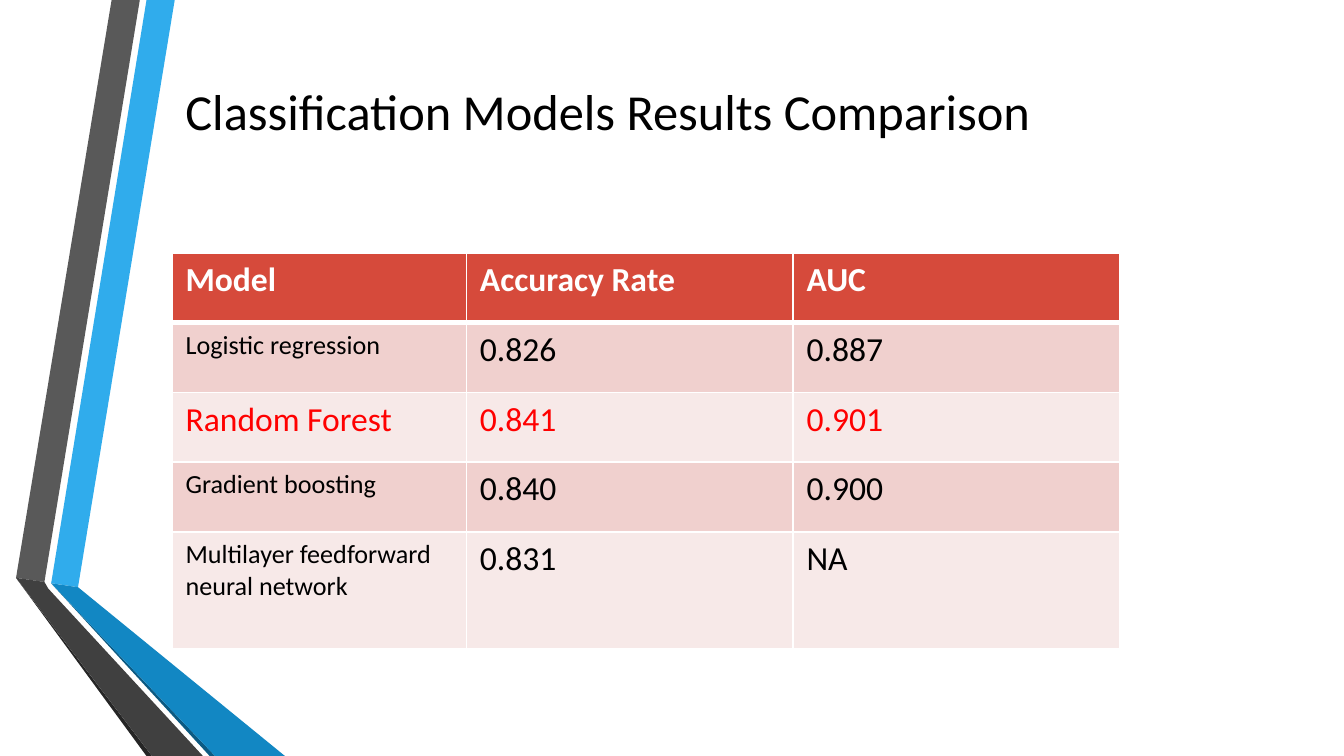
from dataclasses import dataclass

from lxml.etree import SubElement
from pptx import Presentation
from pptx.dml.color import RGBColor
from pptx.enum.text import MSO_ANCHOR as Anchor, MSO_AUTO_SIZE as AutoSize, PP_ALIGN as Align
from pptx.oxml.ns import qn
from pptx.util import Pt

WHITE, BLACK, RED = "FFFFFF", "000000", "FF0000"
HEADER_FILL, BAND_FILLS = "D64A3B", ("F0D0CE", "F7E9E8")
COLUMN_WIDTHS = (157.7, 175, 175)
ROW_HEIGHTS = (37.4, 37.4, 37.4, 37.4, 62.6)
BOTTOM = 405


@dataclass
class Ribbon:
    """A filled polygon of the side decoration."""
    color: str
    points: list[tuple[float, float]]


@dataclass
class ModelRow:
    """One table row with the style of its text."""
    cells: tuple[str, str, str]
    name_size: float = 14
    color: str = BLACK
    bold: bool = False


GRAY_BEND, BLUE_BEND, BLUE_CORNER = (8.6, 309.6), (27.4, 312.5), (41.8, 314.6)
RIBBONS = [
    Ribbon("30ACEC", [BLUE_BEND, BLUE_CORNER, (93.6, 0), (78.5, 0)]),
    Ribbon("595959", [(74.9, 0), (59.8, 0), GRAY_BEND, (23.8, 311.8)]),
    Ribbon("262626", [GRAY_BEND, (78.5, BOTTOM), (81.4, BOTTOM)]),
    Ribbon("0C5A82", [BLUE_BEND, (112.3, BOTTOM), (115.2, BOTTOM)]),
    Ribbon("1287C3", [BLUE_BEND, (115.2, BOTTOM), (152.6, BOTTOM), BLUE_CORNER]),
    Ribbon("404040", [(108.7, BOTTOM), (25.9, 315.4), (23.8, 311.8), GRAY_BEND, (81.4, BOTTOM)]),
]
ROWS = [
    ModelRow(("Model", "Accuracy Rate", "AUC "), 18, WHITE, True),
    ModelRow(("Logistic regression", "0.826", "0.887")),
    ModelRow(("Random Forest ", "0.841", "0.901"), 18, RED),
    ModelRow(("Gradient boosting", "0.840", "0.900")),
    ModelRow(("Multilayer feedforward neural network", "0.831", "NA")),
]


def paint(target, color: str) -> None:
    """Give a fill a solid colour."""
    target.solid()
    target.fore_color.rgb = RGBColor.from_string(color)


def write(frame, text: str, *, size: float, color: str = BLACK, bold: bool = False,
          align: Align = Align.LEFT) -> None:
    """Write one formatted paragraph into a text frame."""
    para = frame.paragraphs[0]
    para.alignment = align
    span = para.add_run()
    span.text = text
    span.font.name, span.font.size, span.font.bold = "Calibri", Pt(size), bold
    paint(span.font.fill, color)


def draw_ribbon(page, ribbon: Ribbon) -> None:
    """Draw one ribbon polygon without outline."""
    start, *others = [(Pt(x), Pt(y)) for x, y in ribbon.points]
    builder = page.shapes.build_freeform(*start, scale=1.0)
    builder.add_line_segments(others, close=True)
    shape = builder.convert_to_shape()
    shape.shadow.inherit = False
    paint(shape.fill, ribbon.color)
    shape.line.fill.background()


def add_borders(cell, top: float, bottom: float) -> None:
    """Draw white lines on the four sides of a cell."""
    properties = cell._tc.get_or_add_tcPr()
    for side, width in (("L", 1), ("R", 1), ("T", top), ("B", bottom)):
        line = SubElement(properties, qn(f"a:ln{side}"), w=str(Pt(width)))
        SubElement(SubElement(line, qn("a:solidFill")), qn("a:srgbClr"), val=WHITE)


def draw_table(page) -> None:
    """Draw the comparison table."""
    frame = page.shapes.add_table(len(ROWS), len(COLUMN_WIDTHS), Pt(92.2), Pt(135.4),
                                  Pt(sum(COLUMN_WIDTHS)), Pt(sum(ROW_HEIGHTS)))
    table = frame.table
    for column, width in zip(table.columns, COLUMN_WIDTHS):
        column.width = Pt(width)
    for index, (row, height) in enumerate(zip(ROWS, ROW_HEIGHTS)):
        table.rows[index].height = Pt(height)
        fill = BAND_FILLS[(index - 1) % 2] if index else HEADER_FILL
        for position, text in enumerate(row.cells):
            cell = table.cell(index, position)
            add_borders(cell, top=3 if index == 1 else 1, bottom=3 if index == 0 else 1)
            paint(cell.fill, fill)
            write(cell.text_frame, text, size=18 if position else row.name_size,
                  color=row.color, bold=row.bold)


def draw_title(page) -> None:
    """Place and fill the title."""
    title = page.shapes.title
    title.left, title.top, title.width, title.height = Pt(90), Pt(0), Pt(475.2), Pt(79.2)
    frame = title.text_frame
    frame.word_wrap, frame.auto_size = True, AutoSize.NONE
    frame.vertical_anchor = Anchor.BOTTOM
    write(frame, "Classification Models Results Comparison ", size=27, align=Align.RIGHT)


def main() -> None:
    """Build and save the deck."""
    deck = Presentation()
    deck.slide_width, deck.slide_height = Pt(720), Pt(BOTTOM)
    page = deck.slides.add_slide(deck.slide_layouts[5])
    for ribbon in RIBBONS:
        draw_ribbon(page, ribbon)
    draw_title(page)
    draw_table(page)
    deck.save("out.pptx")


main()
